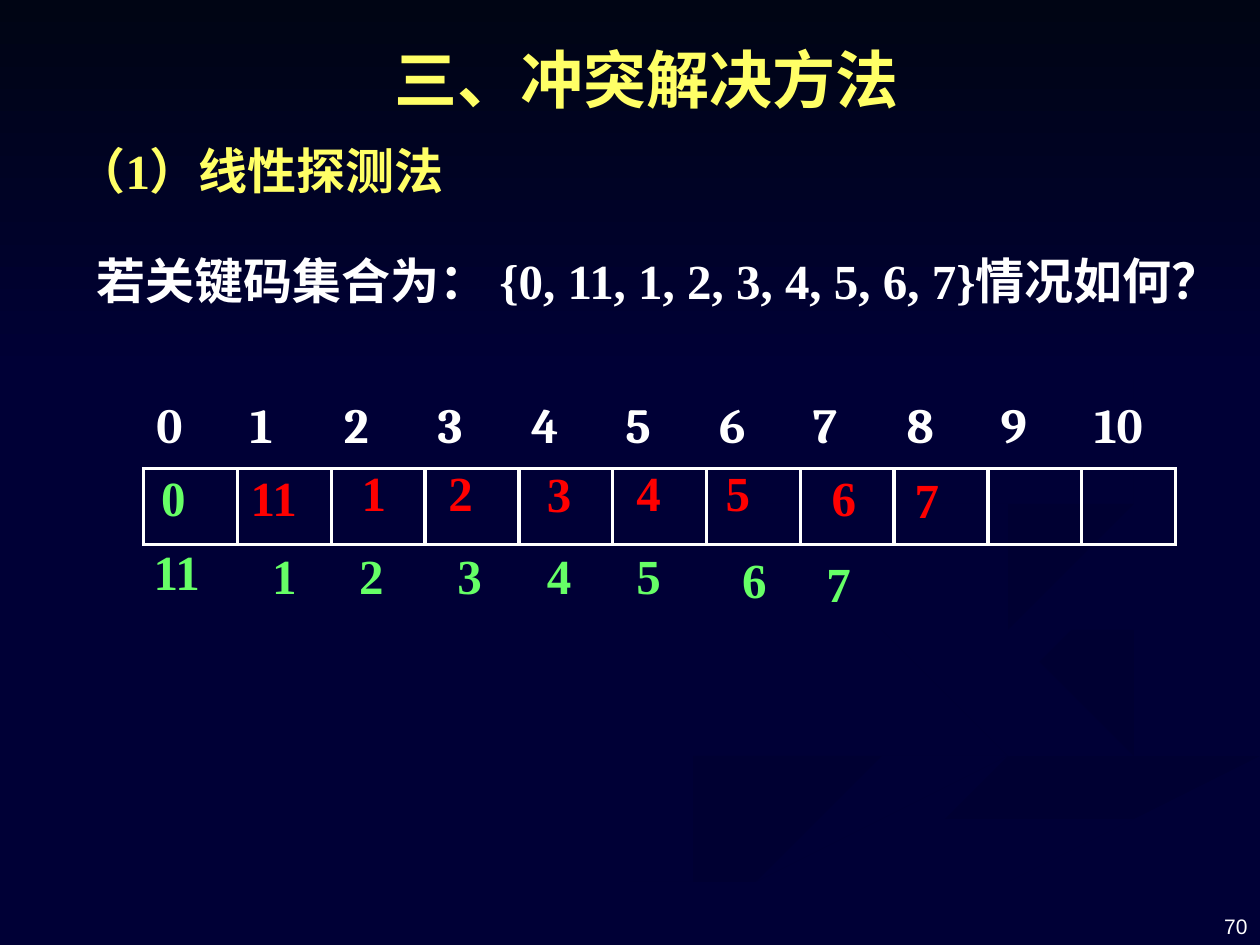
from dataclasses import dataclass
from lxml import etree
from pptx import Presentation
from pptx.dml.color import RGBColor
from pptx.enum.lang import MSO_LANGUAGE_ID
from pptx.enum.text import MSO_ANCHOR, PP_ALIGN
from pptx.oxml.ns import qn
from pptx.util import Inches, Pt

CHINESE = MSO_LANGUAGE_ID.SIMPLIFIED_CHINESE
TOP, BOTTOM = MSO_ANCHOR.TOP, MSO_ANCHOR.BOTTOM
LEFT, RIGHT = PP_ALIGN.LEFT, PP_ALIGN.RIGHT

NAVY = RGBColor(0x00, 0x00, 0x36)
DIM = RGBColor(0x00, 0x00, 0x32)
NIGHT = RGBColor(0x00, 0x05, 0x14)
WHITE = RGBColor(0xFF, 0xFF, 0xFF)
YELLOW = RGBColor(0xFF, 0xFF, 0x66)
RED = RGBColor(0xFF, 0x00, 0x00)
GREEN = RGBColor(0x66, 0xFF, 0x66)
SERIF = "Times New Roman"
NO_GRID = "{2D5ABB26-0587-4C30-8999-92F81FD0307C}"


@dataclass
class Band:
    points: list[tuple[float, float]]
    start: RGBColor
    end: RGBColor
    angle: int


@dataclass
class Label:
    text: str
    x: float
    y: float
    w: float
    h: float
    color: RGBColor
    size: int = 28
    font: str = SERIF
    bold: bool = True
    inset: bool = True
    wrap: bool = True
    align: PP_ALIGN = LEFT
    anchor: MSO_ANCHOR = TOP
    spacing: float = 1.0


@dataclass
class Key:
    text: str
    x: float
    y: float
    color: RGBColor
    w: float = 0.5


BANDS = [
    Band([(7.81, 5.53), (7.31, 5.33), (6.42, 5.07), (5.94, 4.85), (5.75, 4.59),
          (5.7, 4.72), (5.93, 4.91), (6.54, 5.13), (7.41, 5.39), (7.81, 5.56),
          (7.85, 5.7), (7.59, 5.9), (6.84, 6.13), (5.39, 6.49), (4.17, 6.9),
          (3, 7.49), (3.61, 7.49), (4.66, 7), (5.94, 6.56), (7.21, 6.23),
          (7.8, 6.05), (8, 5.81), (7.92, 5.61)], NAVY, DIM, 0),
    Band([(9.43, 5.7), (9.19, 5.47), (8.5, 5.24), (7.74, 5.03), (7.33, 4.83),
          (7.24, 4.64), (7.3, 4.84), (7.66, 5.12), (8.38, 5.36), (8.92, 5.53),
          (9.18, 5.81), (8.94, 6.05), (9.25, 5.93), (9.41, 5.81)], NAVY, DIM, 315),
    Band([(5.03, 7.49), (5.71, 7.49), (6.3, 7.19), (7.22, 6.82), (8.21, 6.51),
          (9.98, 6.09), (9.98, 5.81), (9.2, 6.06), (7.64, 6.47), (6.3, 6.93),
          (5.43, 7.33)], DIM, NAVY, 270),
    Band([(7.25, 4.64), (7.45, 4.9), (8.12, 5.15), (9.05, 5.4), (9.43, 5.7),
          (9.19, 5.97), (8.12, 6.25), (6.63, 6.68), (4.77, 7.49), (5.03, 7.49),
          (6.3, 6.93), (7.64, 6.47), (9.2, 6.06), (9.99, 5.81), (9.99, 5.38),
          (9.04, 5.19), (8.17, 4.92), (7.81, 4.63), (8.11, 4.37), (8.99, 4.18),
          (9.99, 4.02), (9.99, 3.87), (8.74, 4.08), (7.7, 4.27)], NAVY, NAVY, 0),
    Band([(7.81, 4.6), (7.86, 4.74), (8.26, 4.96), (8.05, 4.76), (8.16, 4.59),
          (8.78, 4.39), (9.98, 4.2), (9.98, 4.02), (8.98, 4.18), (8.1, 4.37)],
         DIM, NAVY, 315),
    Band([(6.83, 4.3), (7.86, 4.12), (8.67, 3.84), (8.94, 3.44), (8.73, 2.99),
          (8.21, 2.61), (7.62, 2.33), (8.46, 2.79), (8.89, 3.35), (8.61, 3.7),
          (7.63, 3.98), (6.49, 4.2), (5.89, 4.41), (5.77, 4.62), (5.96, 4.88),
          (6.22, 5), (5.93, 4.7), (6.24, 4.44)], DIM, NAVY, 315),
    Band([(0, 0), (0, 3.08), (10, 3.08), (10, 0)], NIGHT, NAVY, 270),
]

LABELS = [
    Label("70", 7.67, 6.98, 2.33, 0.52, WHITE, 12, "Arial", False,
          align=RIGHT, anchor=BOTTOM),
    Label("三、冲突解决方法", 3.03, 0.21, 4.2, 0.76, YELLOW, 36,
          wrap=False, spacing=1.1),
    Label("（1）线性探测法", 0.51, 1.07, 5.83, 0.57, YELLOW),
    Label("若关键码集合为： {0, 11, 1, 2, 3, 4, 5, 6, 7}情况如何？",
          0.67, 1.94, 9.33, 0.57, WHITE),
]

KEYS = [
    Key("0", 1.28, 3.71, GREEN),
    Key("11", 1.99, 3.71, RED),
    Key("1", 2.87, 3.67, RED, 0.25),
    Key("2", 3.56, 3.67, RED),
    Key("3", 4.34, 3.68, RED),
    Key("4", 5.05, 3.67, RED),
    Key("5", 5.76, 3.67, RED),
    Key("6", 6.6, 3.71, RED, 0.25),
    Key("7", 7.26, 3.73, RED),
    Key("11", 1.22, 4.3, GREEN),
    Key("1", 2.16, 4.33, GREEN, 0.25),
    Key("2", 2.85, 4.33, GREEN),
    Key("3", 3.63, 4.33, GREEN),
    Key("4", 4.34, 4.33, GREEN),
    Key("5", 5.05, 4.33, GREEN),
    Key("6", 5.89, 4.36, GREEN, 0.25),
    Key("7", 6.56, 4.39, GREEN),
]


def draw_band(s, band: Band) -> None:
    builder = s.shapes.build_freeform(*band.points[0], scale=Inches(1))
    builder.add_line_segments(band.points[1:], close=True)
    sp = builder.convert_to_shape()
    sp.shadow.inherit = False
    sp.line.fill.background()
    sp.fill.gradient()
    sp.fill.gradient_angle = band.angle
    for stop, color in zip(sp.fill.gradient_stops, (band.start, band.end)):
        stop.color.rgb = color


def add_text(p, text: str, size: int, font: str, color: RGBColor, bold: bool) -> None:
    r = p.add_run()
    r.text = text
    r.font.size = Pt(size)
    r.font.name = font
    r.font.bold = bold
    r.font.color.rgb = color
    r.font.language_id = CHINESE


def draw_label(s, label: Label) -> None:
    sp = s.shapes.add_textbox(Inches(label.x), Inches(label.y),
                              Inches(label.w), Inches(label.h))
    tf = sp.text_frame
    tf.word_wrap = label.wrap
    tf.vertical_anchor = label.anchor
    if not label.inset:
        tf.margin_left = tf.margin_right = tf.margin_top = tf.margin_bottom = 0
    p = tf.paragraphs[0]
    p.alignment = label.align
    p.line_spacing = label.spacing
    add_text(p, label.text, label.size, label.font, label.color, label.bold)


def set_borders(cell, sides: str) -> None:
    props = cell._tc.get_or_add_tcPr()
    for i, side in enumerate(sides):
        ln = etree.Element(qn(f"a:ln{side}"), w=str(Pt(2.25)))
        fill = etree.SubElement(ln, qn("a:solidFill"))
        etree.SubElement(fill, qn("a:srgbClr"), val=str(WHITE))
        props.insert(i, ln)


def draw_hash_table(s, slots: int) -> None:
    frame = s.shapes.add_table(2, slots, Inches(1.14), Inches(3.12),
                               Inches(8.19), Inches(1.2))
    table = frame.table
    table.first_row = table.horz_banding = False
    for style in frame.element.iter(qn("a:tableStyleId")):
        style.text = NO_GRID
    for i in range(slots):
        index, slot = table.cell(0, i), table.cell(1, i)
        index.fill.background()
        slot.fill.background()
        add_text(index.text_frame.paragraphs[0], str(i), 28, "Cambria", WHITE, True)
        set_borders(index, "B")
        set_borders(slot, "LRTB")


prs = Presentation()
prs.slide_width, prs.slide_height = Inches(10), Inches(7.5)
s = prs.slides.add_slide(prs.slide_layouts[6])
s.background.fill.solid()
s.background.fill.fore_color.rgb = NAVY
for band in BANDS:
    draw_band(s, band)
for label in LABELS:
    draw_label(s, label)
for key in KEYS:
    draw_label(s, Label(key.text, key.x, key.y, key.w, 0.47, key.color, inset=False))
draw_hash_table(s, 11)
prs.save("out.pptx")
